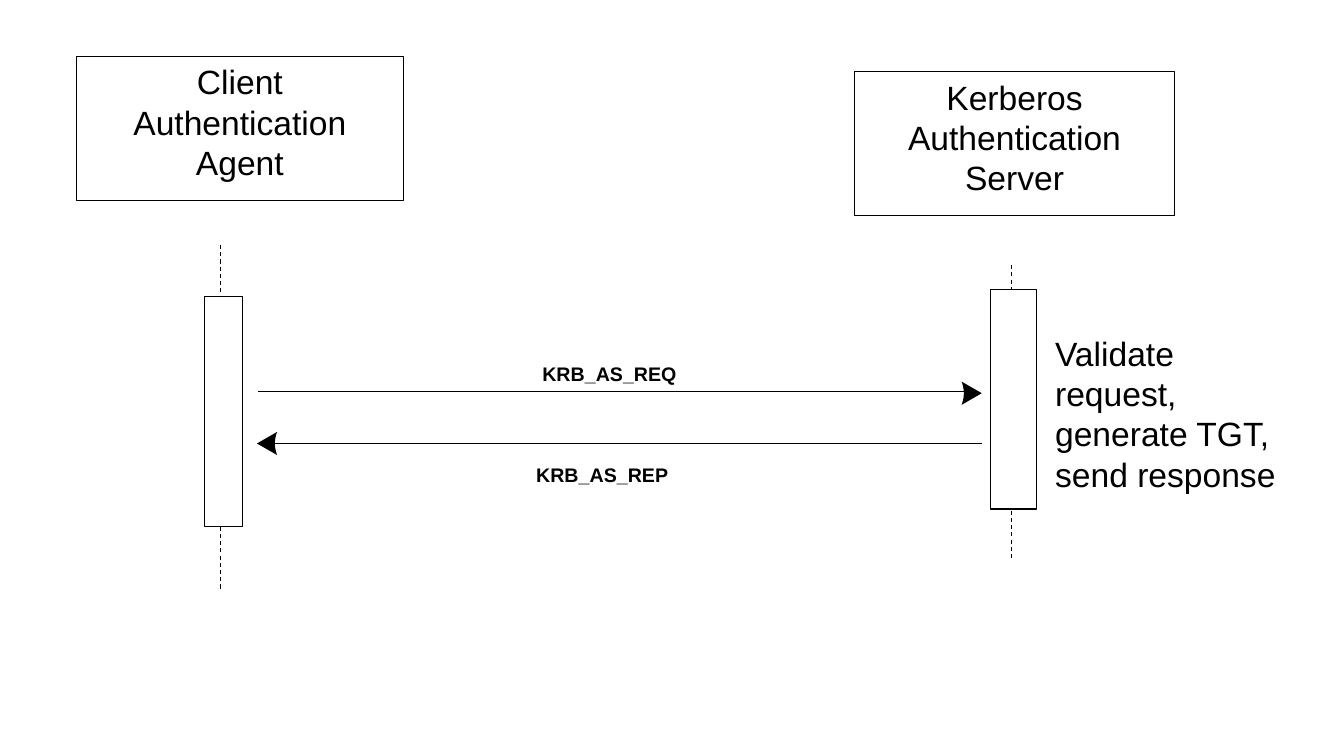
from dataclasses import dataclass
from typing import Any

from lxml.etree import SubElement
from pptx import Presentation
from pptx.dml.color import RGBColor
from pptx.enum.dml import MSO_LINE_DASH_STYLE as Dash
from pptx.enum.shapes import MSO_CONNECTOR_TYPE as Connector, MSO_SHAPE as Preset
from pptx.enum.text import MSO_ANCHOR as Anchor, PP_ALIGN as Align
from pptx.oxml.ns import qn
from pptx.util import Pt

BLACK = "000000"
WHITE = "FFFFFF"
HEAD_LENGTH = 14.4
HEAD_HALF_HEIGHT = 8.3
HEAD_HOLLOW = 1.6
HEAD_STEPS = 16


@dataclass(frozen=True)
class Box:
    left: float
    top: float
    width: float
    height: float


@dataclass(frozen=True)
class Participant:
    title: str
    header: Box
    lifeline_x: float
    lifeline_top: float
    lifeline_bottom: float
    activation: Box


@dataclass(frozen=True)
class Message:
    label: str
    label_box: Box
    line_start: float
    line_end: float
    line_y: float
    tip_x: float
    tip_y: float
    direction: int


@dataclass(frozen=True)
class TextStyle:
    size: float
    bold: bool = False
    alignment: Align = Align.LEFT
    inset_x: float = 0
    inset_y: float = 0


HEADER_STYLE = TextStyle(24, alignment=Align.CENTER, inset_x=10, inset_y=3.6)
LABEL_STYLE = TextStyle(14, bold=True)
NOTE_STYLE = TextStyle(24, inset_x=7.2, inset_y=3.6)

PARTICIPANTS = (
    Participant("Client Authentication Agent", Box(54.7, 40.3, 233.3, 103),
                157.7, 175, 421.2, Box(145.8, 211.7, 27.4, 164.2)),
    Participant("Kerberos Authentication Server", Box(610.6, 51.1, 228.2, 103),
                722.2, 189.4, 398.9, Box(707.4, 206.6, 33.1, 157)),
)
MESSAGES = (
    Message("KRB_AS_REQ", Box(387.4, 258.5, 113, 22.3),
            184.3, 690.5, 279.4, 701.3, 280.9, 1),
    Message("KRB_AS_REP", Box(383, 330.5, 110.9, 22.3),
            194.4, 701.3, 316.8, 183.6, 316.8, -1),
)
NOTE = "Validate request, generate TGT, send response"
NOTE_BOX = Box(746.6, 234, 177.8, 156.2)


def color(value: str) -> RGBColor:
    return RGBColor.from_string(value)


def apply_format(target: Any, values: dict[str, Any]) -> None:
    for name, value in values.items():
        setattr(target, name, value)


def place(box: Box) -> tuple[Pt, Pt, Pt, Pt]:
    return Pt(box.left), Pt(box.top), Pt(box.width), Pt(box.height)


def write_text(shape: Any, text: str, style: TextStyle) -> None:
    frame = shape.text_frame
    apply_format(frame, {
        "word_wrap": True,
        "vertical_anchor": Anchor.TOP,
        "margin_left": Pt(style.inset_x),
        "margin_right": Pt(style.inset_x),
        "margin_top": Pt(style.inset_y),
        "margin_bottom": Pt(style.inset_y),
    })
    paragraph = frame.paragraphs[0]
    paragraph.alignment = style.alignment
    run = paragraph.add_run()
    run.text = text
    apply_format(run.font, {"name": "Arial", "size": Pt(style.size), "bold": style.bold})
    run.font.color.rgb = color(BLACK)


def add_text(slide: Any, box: Box, text: str, style: TextStyle) -> None:
    write_text(slide.shapes.add_textbox(*place(box)), text, style)


def add_rectangle(slide: Any, box: Box) -> Any:
    shape = slide.shapes.add_shape(Preset.RECTANGLE, *place(box))
    shape.shadow.inherit = False
    shape.fill.solid()
    shape.fill.fore_color.rgb = color(WHITE)
    shape.line.color.rgb = color(BLACK)
    shape.line.width = Pt(0.75)
    return shape


def add_line(slide: Any, start: tuple[float, float], end: tuple[float, float],
             line_format: dict[str, Any]) -> None:
    connector = slide.shapes.add_connector(
        Connector.STRAIGHT, *(Pt(length) for length in start + end))
    connector.line.color.rgb = color(BLACK)
    apply_format(connector.line, line_format)
    SubElement(connector._element.spPr, qn("a:effectLst"))


def add_arrowhead(slide: Any, message: Message) -> None:
    base_x = message.tip_x - message.direction * HEAD_LENGTH
    hollow_edge = []
    for step in range(HEAD_STEPS + 1):
        offset = 1 - 2 * step / HEAD_STEPS
        x = base_x + message.direction * HEAD_HOLLOW * (1 - offset ** 2)
        hollow_edge.append((Pt(x), Pt(message.tip_y + offset * HEAD_HALF_HEIGHT)))
    builder = slide.shapes.build_freeform(Pt(message.tip_x), Pt(message.tip_y))
    builder.add_line_segments(hollow_edge, close=True)
    shape = builder.convert_to_shape()
    shape.shadow.inherit = False
    shape.fill.solid()
    shape.fill.fore_color.rgb = color(BLACK)
    shape.line.fill.background()


def add_participant(slide: Any, participant: Participant) -> None:
    header = add_rectangle(slide, participant.header)
    write_text(header, participant.title, HEADER_STYLE)
    x = participant.lifeline_x
    add_line(slide, (x, participant.lifeline_top), (x, participant.lifeline_bottom),
             {"width": Pt(0.75), "dash_style": Dash.DASH})
    add_rectangle(slide, participant.activation)


def add_message(slide: Any, message: Message) -> None:
    add_line(slide, (message.line_start, message.line_y),
             (message.line_end, message.line_y), {"width": Pt(0.35)})
    add_arrowhead(slide, message)
    add_text(slide, message.label_box, message.label, LABEL_STYLE)


def main() -> None:
    presentation = Presentation()
    apply_format(presentation, {"slide_width": Pt(960), "slide_height": Pt(540)})
    slide = presentation.slides.add_slide(presentation.slide_layouts[6])
    for participant in PARTICIPANTS:
        add_participant(slide, participant)
    for message in MESSAGES:
        add_message(slide, message)
    add_text(slide, NOTE_BOX, NOTE, NOTE_STYLE)
    presentation.save("out.pptx")


if __name__ == "__main__":
    main()
